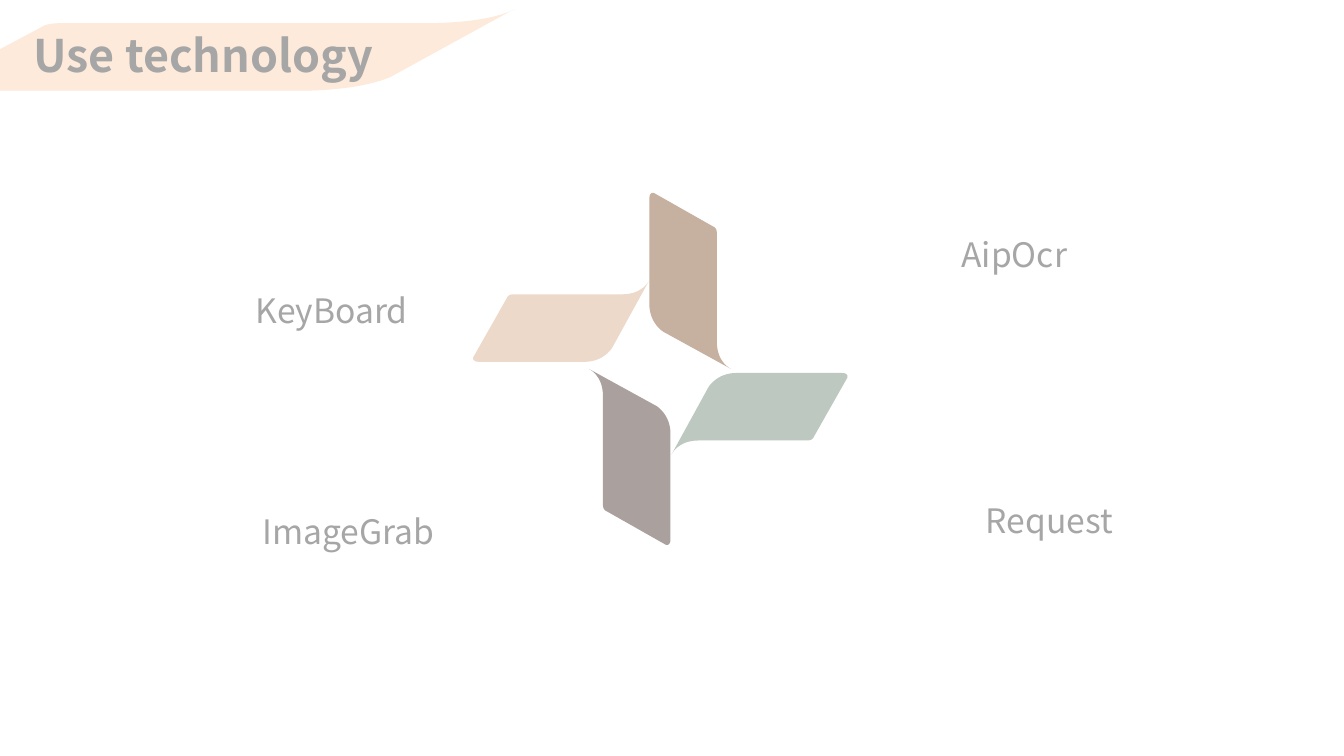
"""Build the "Use technology" slide with its title ribbon and pinwheel."""
from dataclasses import dataclass

from lxml.etree import SubElement
from pptx import Presentation
from pptx.dml.color import RGBColor
from pptx.enum.text import MSO_AUTO_SIZE, PP_ALIGN
from pptx.oxml.ns import qn
from pptx.shapes.autoshape import Shape
from pptx.slide import Slide
from pptx.util import Inches, Pt

Point = tuple[float, float]


@dataclass(frozen=True)
class Theme:
    """Colours, font and type sizes of the slide."""
    font: str = "Noto Sans CJK SC"
    text: str = "A6A6A6"
    ribbon: str = "FDEADA"
    sand: str = "ECD9CA"
    brown: str = "C6B0A0"
    sage: str = "BDC8C0"
    taupe: str = "AAA09E"
    title_size: int = 32
    label_size: int = 24


@dataclass(frozen=True)
class Blade:
    """A slanted leaf, turned clockwise by a number of quarter turns."""
    left: float
    top: float
    length: float
    turns: int
    color: str


@dataclass(frozen=True)
class Label:
    """A centred line of text in a box."""
    text: str
    left: float
    top: float
    width: float
    height: float
    size: int
    bold: bool = False


THEME = Theme()
LEAF_LENGTH = 5.87
LEAF_DEPTH = 0.81
LEAF_TIP: Point = (LEAF_LENGTH, 0)
LEAF_CURVES: list[tuple[Point, Point, Point]] = [
    (LEAF_TIP, (5.67, 0.14), (4.98, 0.14)),
    ((1.37, 0.14), (1.37, 0.14), (1.37, 0.14)),
    ((1.22, 0.14), (1.18, 0.18), (1.18, 0.18)),
    ((0.09, 0.76), (0.09, 0.76), (0.09, 0.76)),
    ((0.09, 0.76), (0, 0.81), (0.28, 0.81)),
    ((3.73, 0.81), (3.73, 0.81), (3.73, 0.81)),
    ((4.38, 0.81), (4.65, 0.67), (4.65, 0.67)),
]

BLADES = [
    Blade(-0.77, 0.09, LEAF_LENGTH, 0, THEME.ribbon),
    Blade(4.67, 2.78, 1.77, 0, THEME.sand),
    Blade(6.44, 1.89, 1.77, 1, THEME.brown),
    Blade(6.66, 3.7, 1.77, 2, THEME.sage),
    Blade(5.84, 3.66, 1.77, 3, THEME.taupe),
]

LABELS = [
    Label("KeyBoard", 2.38, 2.83, 1.82, 0.5, THEME.label_size),
    Label("AipOcr", 9.4, 2.27, 1.32, 0.5, THEME.label_size),
    Label("ImageGrab", 2.41, 5.02, 2.09, 0.5, THEME.label_size),
    Label("Request", 9.63, 4.91, 1.56, 0.5, THEME.label_size),
    Label("Use technology", 0.19, 0.23, 3.66, 0.64, THEME.title_size, True),
]


def place_point(blade: Blade, point: Point) -> tuple[int, int]:
    """Turn a leaf point and place it on the slide."""
    width, height = blade.length, LEAF_DEPTH
    if blade.turns % 2:
        width, height = height, width
    u, v = point[0] / LEAF_LENGTH, point[1] / LEAF_DEPTH
    for _ in range(blade.turns):
        u, v = 1 - v, u
    return Inches(blade.left + u * width), Inches(blade.top + v * height)


def bend_lines(shape: Shape) -> None:
    """Join each three line points of the outline into one Bézier curve."""
    outline = next(shape.element.iter(qn("a:path")))
    lines = outline.findall(qn("a:lnTo"))
    for index in range(len(LEAF_CURVES)):
        curve = SubElement(outline, qn("a:cubicBezTo"))
        first, *others = lines[3 * index:3 * index + 3]
        outline.replace(first, curve)
        curve.append(first[0])
        for line in others:
            curve.append(line[0])
            outline.remove(line)


def draw_blade(slide: Slide, blade: Blade) -> None:
    """Draw one filled blade."""
    tip = place_point(blade, LEAF_TIP)
    controls = [place_point(blade, point) for curve in LEAF_CURVES for point in curve]
    builder = slide.shapes.build_freeform(*tip)
    builder.add_line_segments([*controls, tip], close=True)
    shape = builder.convert_to_shape()
    bend_lines(shape)
    shape.shadow.inherit = False
    shape.fill.solid()
    shape.fill.fore_color.rgb = RGBColor.from_string(blade.color)
    shape.line.fill.background()


def draw_label(slide: Slide, label: Label) -> None:
    """Draw one text label."""
    box = slide.shapes.add_textbox(
        Inches(label.left), Inches(label.top), Inches(label.width), Inches(label.height)
    )
    frame = box.text_frame
    frame.word_wrap = False
    frame.auto_size = MSO_AUTO_SIZE.SHAPE_TO_FIT_TEXT
    paragraph = frame.paragraphs[0]
    paragraph.alignment = PP_ALIGN.CENTER
    run = paragraph.add_run()
    run.text = label.text
    run.font.name = THEME.font
    run.font.size = Pt(label.size)
    run.font.bold = label.bold
    run.font.color.rgb = RGBColor.from_string(THEME.text)


def main() -> None:
    """Build and save the presentation."""
    presentation = Presentation()
    presentation.slide_width = Inches(13.33)
    presentation.slide_height = Inches(7.5)
    slide = presentation.slides.add_slide(presentation.slide_layouts[6])
    for blade in BLADES:
        draw_blade(slide, blade)
    for label in LABELS:
        draw_label(slide, label)
    presentation.save("out.pptx")


if __name__ == "__main__":
    main()
